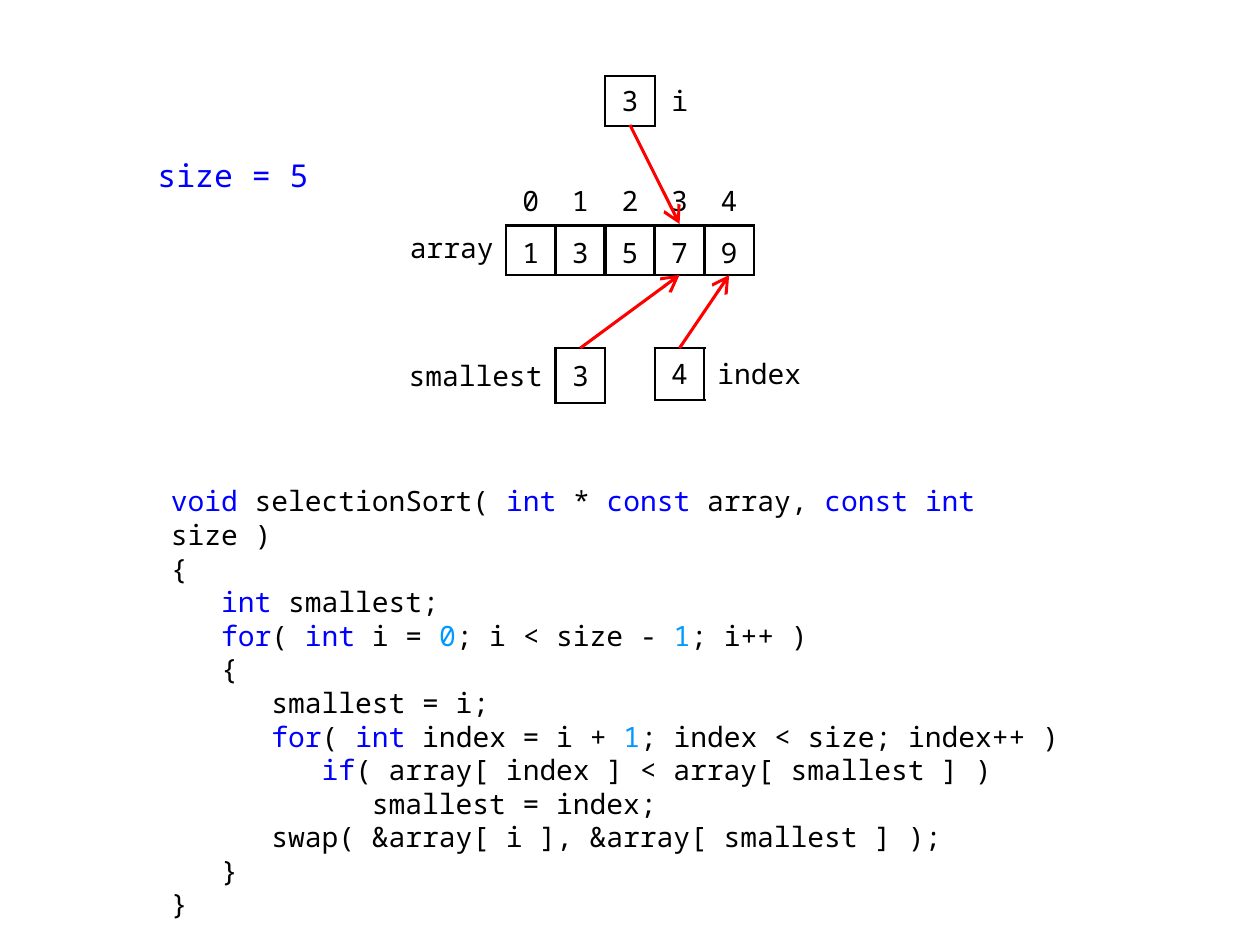
from dataclasses import dataclass
from itertools import groupby

from lxml.etree import SubElement
from pptx import Presentation
from pptx.dml.color import RGBColor
from pptx.enum.shapes import MSO_CONNECTOR
from pptx.enum.text import MSO_ANCHOR, PP_ALIGN
from pptx.oxml import parse_xml
from pptx.oxml.ns import nsdecls, qn
from pptx.util import Pt


@dataclass(frozen=True)
class Theme:
    font: str = "Noto Sans Mono"
    text: str = "000000"
    keyword: str = "0000FF"
    number: str = "0099FF"
    arrow: str = "FF0000"
    cell: str = "FFFFFF"
    body: int = 16
    note: int = 18
    thin: float = 1.5
    thick: float = 2.25
    arrow_width: float = 1.75


THEME = Theme()
LEFT, CENTER, RIGHT = PP_ALIGN.LEFT, PP_ALIGN.CENTER, PP_ALIGN.RIGHT

VALUES = [1, 3, 5, 7, 9]
KEYWORDS = {"void", "int", "const", "for", "if"}
CODE = """\
void selectionSort( int * const array, const int size )
{
   int smallest;
   for( int i = 0; i < size - 1; i++ )
   {
      smallest = i;
      for( int index = i + 1; index < size; index++ )
         if( array[ index ] < array[ smallest ] )
            smallest = index;
      swap( &array[ i ], &array[ smallest ] );
   }
}""".splitlines()

# left, top, width, height, text, alignment, size, colour, wrap
LABELS = [
    (383, 224, 123, 49, "array", RIGHT, THEME.body, THEME.text, False),
    (134, 150, 198, 49, "size = 5", CENTER, THEME.note, THEME.keyword, True),
]
# name, value, array column of its box, top, height, label width, alignment
VARIABLES = [
    ("smallest", 3, 1, 348, 55, 174, RIGHT),
    ("index", 4, 3, 348, 52, 124, LEFT),
    ("i", 3, 2, 76, 50, 50, CENTER),
]
# array column and y of the start, then of the end
ARROWS = [
    ((1, 348), (3, 275)),
    ((3, 348), (4, 275)),
    ((2, 125), (3, 224)),
]


def px(n):
    return round(n * 914400 / 126)


CELL = px(248) // len(VALUES)


def column(k):
    """Left edge of array column k."""
    return px(506) + round(k * CELL)


def style(paragraph, align=LEFT, size=THEME.body, color=THEME.text):
    paragraph.alignment = align
    for r in paragraph.runs:
        r.font.name = THEME.font
        r.font.size = Pt(size)
        r.font.color.rgb = RGBColor.from_string(color)


def set_cell(cell, text, borders, align=CENTER, bottom=6):
    """Fill a cell; borders maps sides (L, R, T, B) to widths in points."""
    cell.text_frame.text = str(text)
    style(cell.text_frame.paragraphs[0], align)
    cell.vertical_anchor = MSO_ANCHOR.MIDDLE
    cell.margin_left = cell.margin_right = px(10 if align == CENTER else 13)
    cell.margin_top, cell.margin_bottom = px(6), px(bottom)
    cell.fill.solid()
    cell.fill.fore_color.rgb = RGBColor.from_string(THEME.cell)
    tc_pr = cell._tc.get_or_add_tcPr()
    for i, side in enumerate("LRTB"):
        width = borders.get(side, 0)
        paint = (f'<a:solidFill><a:srgbClr val="{THEME.text}"/></a:solidFill>'
                 if width else "<a:noFill/>")
        tc_pr.insert(i, parse_xml(
            f'<a:ln{side} {nsdecls("a")} w="{Pt(width)}">{paint}</a:ln{side}>'))


def add_table(s, left, top, widths, heights):
    frame = s.shapes.add_table(len(heights), len(widths), left, top,
                               sum(widths), sum(heights))
    table = frame.table
    table.first_row = table.horz_banding = False
    for col, width in zip(table.columns, widths):
        col.width = width
    for row, height in zip(table.rows, heights):
        row.height = height
    return table


def add_array(s):
    last = len(VALUES) - 1
    table = add_table(s, column(0), px(176), [CELL] * len(VALUES), [CELL] * 2)
    for k, value in enumerate(VALUES):
        set_cell(table.cell(0, k), k, {"B": THEME.thin})
        set_cell(table.cell(1, k), value, bottom=2, borders={
            "L": THEME.thick if k else THEME.thin,
            "R": THEME.thick if k < last else THEME.thin,
            "T": THEME.thin, "B": THEME.thin})


def add_variable(s, name, value, k, top, height, label_width, align):
    """A boxed value, its name to the left if right-aligned, else to the right."""
    left, widths = column(k), [CELL, px(label_width)]
    box, label, shared = 0, 1, "L"
    if align == RIGHT:
        left -= px(label_width)
        widths.reverse()
        box, label, shared = 1, 0, "R"
    table = add_table(s, left, px(top), widths, [px(height)])
    set_cell(table.cell(0, box), value, dict.fromkeys("LRTB", THEME.thin))
    set_cell(table.cell(0, label), name, {shared: THEME.thin}, align)


def add_label(s, left, top, width, height, text, align, size, color, wrap):
    tf = s.shapes.add_textbox(px(left), px(top), px(width), px(height)).text_frame
    tf.word_wrap = wrap
    tf.text = text
    style(tf.paragraphs[0], align, size, color)


def add_code(s):
    tf = s.shapes.add_textbox(px(159), px(472), px(942), px(422)).text_frame
    tf.word_wrap = True
    tf.margin_left = tf.margin_right = tf.margin_top = tf.margin_bottom = px(12)
    for i, line in enumerate(CODE):
        p = tf.add_paragraph() if i else tf.paragraphs[0]
        p.line_spacing = 1.0
        for _, chars in groupby(line, str.isalnum):
            p.add_run().text = "".join(chars)
        style(p)
        for r in p.runs:
            if r.text in KEYWORDS:
                r.font.color.rgb = RGBColor.from_string(THEME.keyword)
            elif r.text.isdigit():
                r.font.color.rgb = RGBColor.from_string(THEME.number)


def add_arrow(s, start, end):
    (k1, y1), (k2, y2) = start, end
    cxn = s.shapes.add_connector(MSO_CONNECTOR.STRAIGHT, column(k1 + 0.5), px(y1),
                                 column(k2 + 0.5), px(y2))
    cxn.line.color.rgb = RGBColor.from_string(THEME.arrow)
    cxn.line.width = Pt(THEME.arrow_width)
    SubElement(cxn.line._get_or_add_ln(), qn("a:tailEnd"),
               type="arrow", w="lg", len="lg")
    SubElement(cxn._element.spPr, qn("a:effectLst"))


def main():
    prs = Presentation()
    prs.slide_width, prs.slide_height = px(1260), px(945)
    s = prs.slides.add_slide(prs.slide_layouts[6])
    add_code(s)
    for label in LABELS:
        add_label(s, *label)
    for variable in VARIABLES:
        add_variable(s, *variable)
    add_array(s)
    for start, end in ARROWS:
        add_arrow(s, start, end)
    prs.save("out.pptx")


if __name__ == "__main__":
    main()
